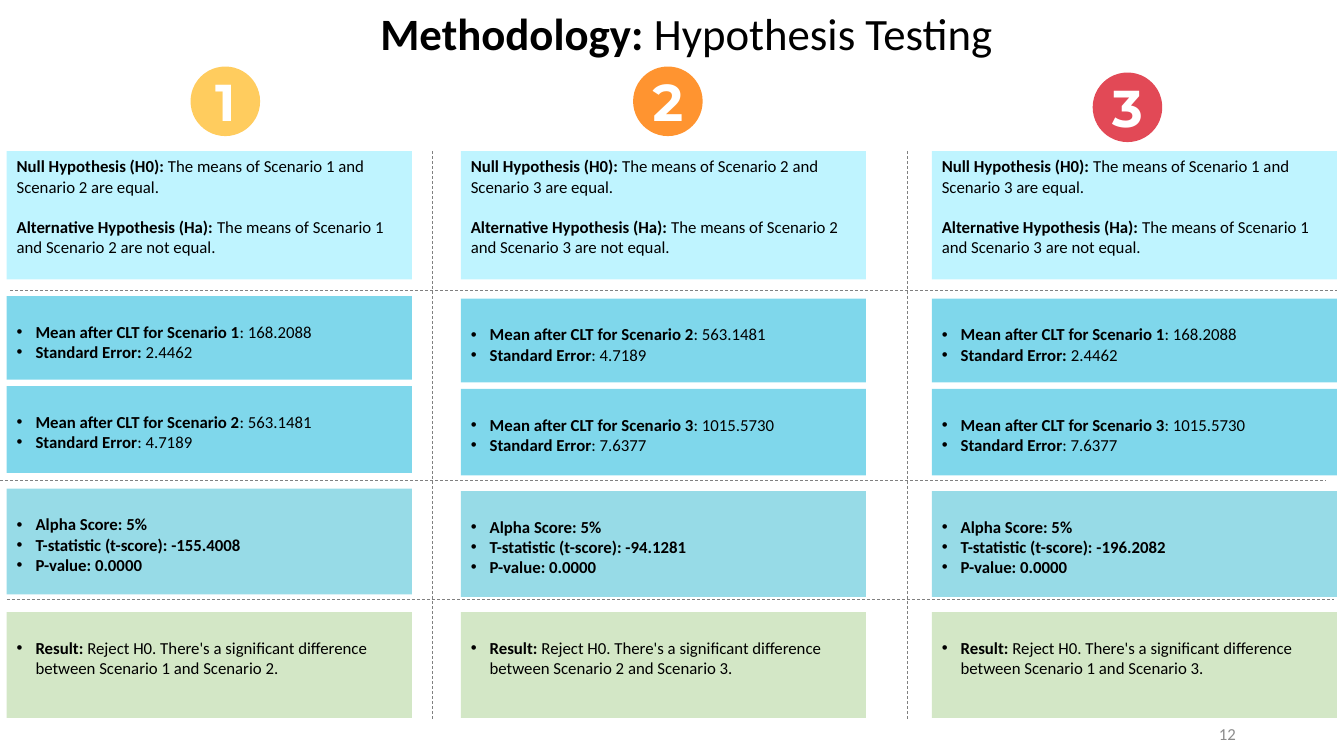
import pptx
import pptx.dml.color
import pptx.enum.dml
import pptx.enum.shapes
import pptx.enum.text
import pptx.oxml.ns
import pptx.util
from lxml import etree

Pt = pptx.util.Pt
RGBColor = pptx.dml.color.RGBColor
MSO_SHAPE = pptx.enum.shapes.MSO_SHAPE
PP_ALIGN = pptx.enum.text.PP_ALIGN
MSO_ANCHOR = pptx.enum.text.MSO_ANCHOR
qn = pptx.oxml.ns.qn

BLACK = RGBColor(0x00, 0x00, 0x00)
WHITE = RGBColor(0xFF, 0xFF, 0xFF)
GREY = RGBColor(0x80, 0x80, 0x80)
NUMBER_GREY = RGBColor(0x8C, 0x8C, 0x8C)
YELLOW = RGBColor(0xFF, 0xCC, 0x5E)
ORANGE = RGBColor(0xFF, 0x94, 0x30)
RED = RGBColor(0xE2, 0x49, 0x56)
CYAN = RGBColor(0x81, 0xEA, 0xFF)
BLUE = RGBColor(0x00, 0xB1, 0xD9)
TEAL = RGBColor(0x30, 0xB8, 0xD1)
GREEN = RGBColor(0xA9, 0xD1, 0x8E)

BODY_SIZE = 12
LINE_HEIGHT = 14.65
BULLET_INDENT = 13.5
COLUMN_WIDTH = 289.4
BADGE_SIZE = 49.7

# scenario: (mean, standard error label, standard error value)
ESTIMATES = {
    1: ("168.2088", "Standard Error: ", "2.4462"),
    2: ("563.1481", "Standard Error", ": 4.7189"),
    3: ("1015.5730", "Standard Error", ": 7.6377"),
}
# column left, shift of the middle rows, badge left, badge top, badge colour,
# the two scenarios compared, t-score
TESTS = [
    (4.8, -1.8, 136.1, 47.5, YELLOW, (1, 2), "-155.4008"),
    (329.2, 0, 452.2, 47.5, ORANGE, (2, 3), "-94.1281"),
    (665.6, 0, 780.5, 51.8, RED, (1, 3), "-196.2082"),
]
DIVIDERS = [
    (7.2, 207.4, 954.7, 207.4),
    (0, 343.4, 947.5, 343.4),
    (5, 428.4, 952.6, 428.4),
    (308.9, 108, 308.9, 514.8),
    (648, 108, 648, 514.8),
]


def style_paragraph(paragraph, size, color, name="Calibri"):
    paragraph.font.size = Pt(size)
    paragraph.font.name = name
    paragraph.font.color.rgb = color


def add_label_and_value(paragraph, label, value):
    """Write a bold label followed by a regular value."""
    for text, bold in ((label, True), (value, False)):
        if text:
            run = paragraph.add_run()
            run.text = text
            run.font.bold = bold


def add_bullet(paragraph):
    properties = paragraph._p.get_or_add_pPr()
    properties.set("marL", str(Pt(BULLET_INDENT)))
    properties.set("indent", str(-Pt(BULLET_INDENT)))
    font = etree.SubElement(properties, qn("a:buFont"))
    font.set("typeface", "Arial")
    etree.SubElement(properties, qn("a:buChar")).set("char", "•")


def add_filled_shape(slide, kind, left, top, width, height, color):
    shape = slide.shapes.add_shape(kind, Pt(left), Pt(top), Pt(width), Pt(height))
    shape.shadow.inherit = False
    shape.fill.solid()
    shape.fill.fore_color.rgb = color
    shape.line.fill.background()
    return shape


def add_panel(slide, left, top, height, color, lines, bulleted=True):
    """Add a half-transparent panel of (label, value) lines."""
    panel = add_filled_shape(slide, MSO_SHAPE.RECTANGLE, left, top, COLUMN_WIDTH, height, color)
    fill_color = panel.fill._xPr.find(".//" + qn("a:srgbClr"))
    etree.SubElement(fill_color, qn("a:alpha")).set("val", "50000")

    frame = panel.text_frame
    frame.word_wrap = True
    frame.vertical_anchor = MSO_ANCHOR.TOP
    frame.margin_top = Pt(3.6 + (LINE_HEIGHT if bulleted else 0))
    for index, (label, value) in enumerate(lines):
        paragraph = frame.add_paragraph() if index else frame.paragraphs[0]
        paragraph.alignment = PP_ALIGN.LEFT
        if bulleted:
            add_bullet(paragraph)
        elif index:
            paragraph.space_before = Pt(LINE_HEIGHT)
        style_paragraph(paragraph, BODY_SIZE, BLACK)
        add_label_and_value(paragraph, label, value)


def add_badge(slide, left, top, color, number):
    badge = add_filled_shape(slide, MSO_SHAPE.OVAL, left, top, BADGE_SIZE, BADGE_SIZE, color)
    frame = badge.text_frame
    frame.margin_left = frame.margin_right = frame.margin_top = frame.margin_bottom = 0
    frame.word_wrap = False
    frame.vertical_anchor = MSO_ANCHOR.MIDDLE
    paragraph = frame.paragraphs[0]
    paragraph.text = str(number)
    paragraph.alignment = PP_ALIGN.CENTER
    paragraph.font.bold = True
    style_paragraph(paragraph, 37, WHITE, "Montserrat")


def add_test_column(slide, left, shift, scenarios, t_score):
    first, second = scenarios
    means = f"The means of Scenario {first} and Scenario {second} are"
    hypotheses = [
        ("Null Hypothesis (H0): ", f"{means} equal."),
        ("Alternative Hypothesis (Ha): ", f"{means} not equal."),
    ]
    add_panel(slide, left, 108, 91.6, CYAN, hypotheses, bulleted=False)

    for scenario, top, height in ((first, 213.3, 59.8), (second, 277.7, 61.9)):
        mean, error_label, error = ESTIMATES[scenario]
        lines = [(f"Mean after CLT for Scenario {scenario}", f": {mean}"), (error_label, error)]
        add_panel(slide, left, top + shift, height, BLUE, lines)

    scores = ["Alpha Score: 5%", f"T-statistic (t-score): {t_score}", "P-value: 0.0000"]
    add_panel(slide, left, 350.8 + shift, 75.6, TEAL, [(score, "") for score in scores])

    result = ("Reject H0. There's a significant difference "
              f"between Scenario {first} and Scenario {second}.")
    add_panel(slide, left, 437.2, 75.6, GREEN, [("Result: ", result)])


def add_divider(slide, start_x, start_y, end_x, end_y):
    divider = slide.shapes.add_connector(
        pptx.enum.shapes.MSO_CONNECTOR.STRAIGHT, Pt(start_x), Pt(start_y), Pt(end_x), Pt(end_y))
    divider.line.color.rgb = GREY
    divider.line.width = Pt(0.5)
    divider.line.dash_style = pptx.enum.dml.MSO_LINE.DASH
    etree.SubElement(divider._element.spPr, qn("a:effectLst"))


def format_title(title, left, top, width, height):
    title.left, title.top, title.width, title.height = Pt(left), Pt(top), Pt(width), Pt(height)
    frame = title.text_frame
    frame.word_wrap = True
    frame.auto_size = pptx.enum.text.MSO_AUTO_SIZE.NONE
    frame.vertical_anchor = MSO_ANCHOR.BOTTOM
    paragraph = frame.paragraphs[0]
    paragraph.alignment = PP_ALIGN.CENTER
    paragraph.line_spacing = 0.9
    style_paragraph(paragraph, 32, BLACK)
    add_label_and_value(paragraph, "Methodology: ", "Hypothesis Testing")


def add_slide_number(slide, left, top, width, height):
    box = slide.shapes.add_textbox(Pt(left), Pt(top), Pt(width), Pt(height))
    box.text_frame.word_wrap = True
    box.text_frame.vertical_anchor = MSO_ANCHOR.MIDDLE
    paragraph = box.text_frame.paragraphs[0]
    paragraph.text = "12"
    paragraph.alignment = PP_ALIGN.RIGHT
    style_paragraph(paragraph, BODY_SIZE, NUMBER_GREY)


def main():
    presentation = pptx.Presentation()
    presentation.slide_width, presentation.slide_height = Pt(960), Pt(540)
    slide = presentation.slides.add_slide(presentation.slide_layouts[5])
    format_title(slide.shapes.title, 16.6, 2.5, 947.5, 43.9)
    add_slide_number(slide, 678.2, 509, 211.7, 30.2)
    for divider in DIVIDERS:
        add_divider(slide, *divider)
    for number, test in enumerate(TESTS, start=1):
        left, shift, badge_left, badge_top, color, scenarios, t_score = test
        add_badge(slide, badge_left, badge_top, color, number)
        add_test_column(slide, left, shift, scenarios, t_score)
    presentation.save("out.pptx")


if __name__ == "__main__":
    main()
